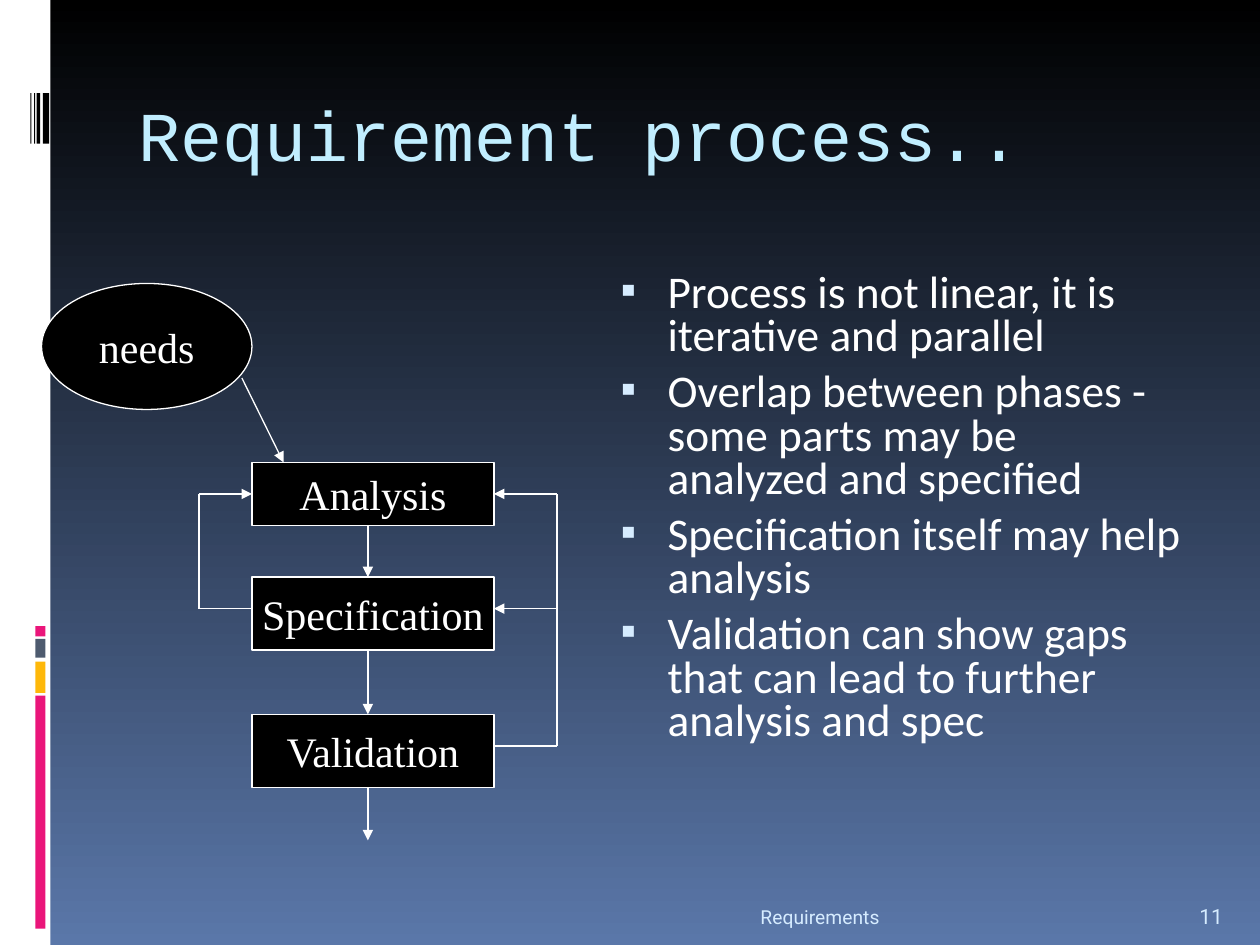
from itertools import pairwise

from lxml.etree import SubElement
from pptx import Presentation
from pptx.dml.color import RGBColor
from pptx.enum.shapes import MSO_CONNECTOR as Connector, MSO_SHAPE as Shape
from pptx.enum.text import MSO_ANCHOR as Anchor, PP_ALIGN as Align
from pptx.oxml.ns import qn
from pptx.util import Inches, Pt

COLORS = {
    "white": "FFFFFF", "black": "000000", "sky": "5A77A9", "title": "C1EEFF",
    "pale": "D6ECFF", "pink": "EA157A", "amber": "FEB80A", "slate": "4E5B6F",
}
FONTS = {
    "title": ({"name": "Courier New", "size": Pt(40)}, "title"),
    "body": ({"name": "Calibri", "size": Pt(25.9)}, "white"),
    "diagram": ({"name": "Times New Roman", "size": Pt(24)}, "white"),
    "footer": ({"name": "Roboto", "size": Pt(11)}, "pale"),
    "number": ({"name": "Roboto", "size": Pt(12)}, "pale"),
}
BULLET_SPACING = {"line_spacing": 0.8, "space_before": Pt(7)}


def rgb(color):
    return RGBColor.from_string(COLORS[color])


def assign(target, values):
    for attribute, value in values.items():
        setattr(target, attribute, value)


class SlideBuilder:
    """Draws styled elements on the current slide."""

    def __init__(self, slide):
        self.slide = slide
        self.line_width = Pt(0.75)

    def background(self, top, bottom):
        fill = self.slide.background.fill
        fill.gradient()
        fill.gradient_angle = 270
        for stop, color, position in zip(fill.gradient_stops, (top, bottom), (0, 1)):
            stop.color.rgb = rgb(color)
            stop.position = position

    def add_run(self, paragraph, text, style, align=Align.LEFT):
        paragraph.alignment = align
        run = paragraph.add_run()
        run.text = text
        values, color = FONTS[style]
        assign(run.font, values)
        run.font.color.rgb = rgb(color)

    def text(self, box, lines, style, align=Align.LEFT, anchor=Anchor.TOP, bulleted=False):
        frame = self.slide.shapes.add_textbox(*map(Inches, box)).text_frame
        assign(frame, {"word_wrap": True, "vertical_anchor": anchor})
        for index, line in enumerate(lines):
            paragraph = frame.add_paragraph() if index else frame.paragraphs[0]
            self.add_run(paragraph, line, style, align)
            if bulleted:
                self.bullet(paragraph)

    def bullet(self, paragraph):
        assign(paragraph, BULLET_SPACING)
        properties = paragraph._p.get_or_add_pPr()
        properties.set("marL", str(Inches(0.45)))
        properties.set("indent", str(Inches(-0.37)))
        color = SubElement(properties, qn("a:buClr"))
        SubElement(color, qn("a:srgbClr"), val=COLORS["pale"])
        SubElement(properties, qn("a:buSzPct"), val="95000")
        SubElement(properties, qn("a:buFont"), typeface="Calibri")
        SubElement(properties, qn("a:buChar"), char="▪")

    def block(self, box, color, kind=Shape.RECTANGLE):
        block = self.slide.shapes.add_shape(kind, *map(Inches, box))
        block.shadow.inherit = False
        block.fill.solid()
        block.fill.fore_color.rgb = rgb(color)
        block.line.fill.background()
        return block

    def node(self, box, label, kind=Shape.RECTANGLE):
        node = self.block(box, "black", kind)
        self.outline(node.line)
        assign(node.text_frame, {"word_wrap": False, "vertical_anchor": Anchor.MIDDLE})
        self.add_run(node.text_frame.paragraphs[0], label, "diagram", Align.CENTER)

    def outline(self, line):
        line.color.rgb = rgb("white")
        line.width = self.line_width

    def arrow(self, *points):
        for start, end in pairwise(points):
            segment = self.slide.shapes.add_connector(
                Connector.STRAIGHT, *map(Inches, start + end))
            self.outline(segment.line)
            SubElement(segment._element.spPr, qn("a:effectLst"))
        SubElement(segment._element.spPr.find(qn("a:ln")), qn("a:tailEnd"), type="triangle")


def main():
    deck = Presentation()
    deck.slide_width, deck.slide_height = Inches(10), Inches(7.5)
    page = SlideBuilder(deck.slides.add_slide(deck.slide_layouts[6]))

    page.background("black", "sky")
    page.block((0, 0, 0.4, 7.5), "white")
    for top, height, color in ((5.52, 1.85, "pink"), (5.25, 0.25, "amber"),
                               (5.07, 0.15, "slate"), (4.97, 0.08, "pink")):
        page.block((0.28, top, 0.08, height), color)
    for left, width in ((0.34, 0.05), (0.29, 0.03), (0.27, 0.01), (0.24, 0.01)):
        page.block((left, 0.74, width, 0.4), "black")

    page.text((1, 0.56, 8.5, 1), ["Requirement process.."], "title", anchor=Anchor.MIDDLE)
    page.text((4.75, 2.12, 4.75, 4.8), [
        "Process is not linear, it is iterative and parallel",
        "Overlap between phases - some parts may be analyzed and specified",
        "Specification itself may help analysis",
        "Validation can show gaps that can lead to further analysis and spec",
    ], "body", bulleted=True)
    page.text((1, 7.02, 6.08, 0.4), ["Requirements"], "footer", Align.RIGHT, Anchor.BOTTOM)
    page.text((9.42, 7.02, 0.5, 0.4), ["11"], "number", anchor=Anchor.BOTTOM)

    left, width = 2, 1.92
    right, center = left + width, 2.92
    phases = (("Analysis", 3.67, 0.5), ("Specification", 4.58, 0.58),
              ("Validation", 5.67, 0.58))
    page.node((0.33, 2.25, 1.67, 1), "needs", Shape.OVAL)
    for label, top, height in phases:
        page.node((left, top, width, height), label)

    next_tops = [top for _, top, _ in phases[1:]] + [6.67]
    for (_, top, height), next_top in zip(phases, next_tops):
        page.arrow((center, top + height), (center, next_top))
    page.arrow((1.92, 3), (2.25, 3.67))

    analysis, specification, validation = 3.92, 4.83, 5.92
    back, feedback = 1.58, 4.42
    page.arrow((left, specification), (back, specification),
               (back, analysis), (left, analysis))
    page.arrow((right, validation), (feedback, validation),
               (feedback, analysis), (right, analysis))
    page.arrow((feedback, specification), (right, specification))

    deck.save("out.pptx")


if __name__ == "__main__":
    main()
